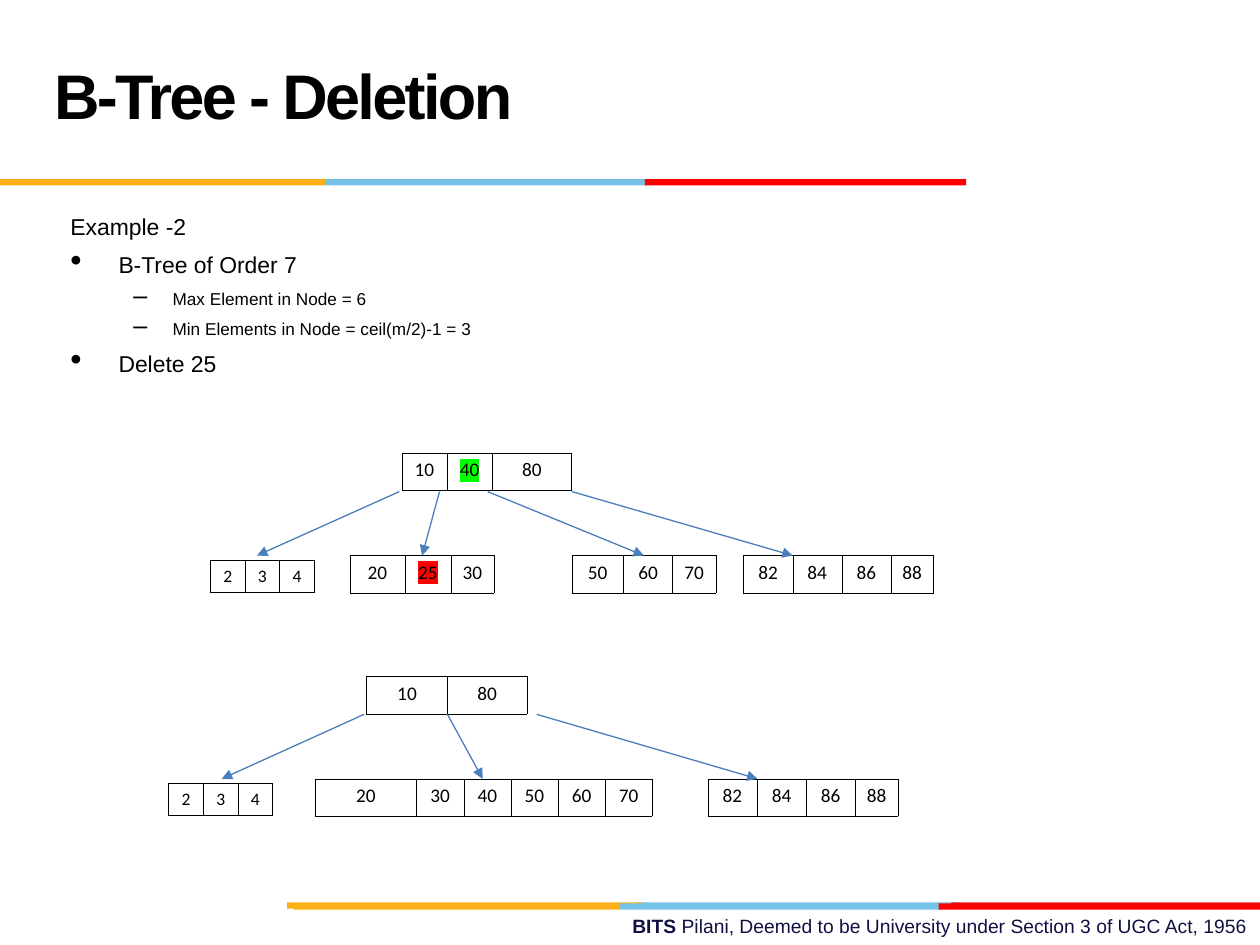
from lxml.etree import SubElement
from pptx import Presentation
from pptx.dml.color import RGBColor
from pptx.enum.shapes import MSO_CONNECTOR as CONN, MSO_SHAPE as SHAPE
from pptx.enum.text import MSO_ANCHOR as ANCHOR, PP_ALIGN as ALIGN
from pptx.oxml.ns import qn
from pptx.util import Cm, Pt

BLACK = RGBColor(0x00, 0x00, 0x00)
WHITE = RGBColor(0xFF, 0xFF, 0xFF)
NAVY = RGBColor(0x10, 0x11, 0x41)
ORANGE = RGBColor(0xFC, 0xB0, 0x17)
SKY = RGBColor(0x76, 0xC2, 0xE5)
CRIMSON = RGBColor(0xE3, 0x1C, 0x24)
RED = RGBColor(0xFF, 0x00, 0x00)
GREEN = RGBColor(0x00, 0xFF, 0x00)
ARROW = RGBColor(0x4B, 0x7E, 0xBC)


class SlideBuilder:
    """Draws styled elements on one slide, with lengths in centimetres."""

    font = "Arial"
    node_font = "Calibri"

    def __init__(self, slide):
        self.slide = slide

    def style(self, r, size, color=BLACK, bold=False, name=None):
        r.font.size = Pt(size)
        r.font.bold = bold
        r.font.color.rgb = color
        r.font.name = name or self.font

    def stripe(self, x, y, w, color):
        sp = self.slide.shapes.add_shape(SHAPE.RECTANGLE, Cm(x), Cm(y), Cm(w), Cm(0.13))
        sp.shadow.inherit = False
        sp.fill.solid()
        sp.fill.fore_color.rgb = color
        sp.line.fill.background()

    def text_box(self, x, y, w, h):
        tf = self.slide.shapes.add_textbox(Cm(x), Cm(y), Cm(w), Cm(h)).text_frame
        tf.word_wrap = True
        return tf

    def title(self, text, x, y, w, h):
        tf = self.text_box(x, y, w, h)
        tf.vertical_anchor = ANCHOR.MIDDLE
        tf.text = text
        p = tf.paragraphs[0]
        p.line_spacing = Pt(36)
        self.style(p.runs[0], 36, bold=True)
        p.runs[0].font._element.set("spc", "-150")

    def footer(self, lead, rest, x, y, w, h):
        p = self.text_box(x, y, w, h).paragraphs[0]
        p.alignment = ALIGN.RIGHT
        for text, bold in ((lead, True), (rest, False)):
            r = p.add_run()
            r.text = text
            self.style(r, 11, NAVY, bold)

    def bullets(self, items, x, y, w, h):
        tf = self.text_box(x, y, w, h)
        tf.margin_left = tf.margin_right = Cm(0.23)
        tf.margin_top = tf.margin_bottom = Cm(0.1)
        for i, (text, mark, size, left, hang) in enumerate(items):
            p = tf.add_paragraph() if i else tf.paragraphs[0]
            p.text = text
            p.line_spacing = 1.1
            if i:
                p.space_before = Pt(4.4)
            if mark:
                pPr = p._p.get_or_add_pPr()
                pPr.set("marL", str(Cm(left)))
                pPr.set("indent", str(-Cm(hang)))
                SubElement(pPr, qn("a:buSzPct"), val="147000")
                SubElement(pPr, qn("a:buChar"), char=mark)
            self.style(p.runs[0], size)

    def border(self, cell, width):
        tcPr = cell._tc.get_or_add_tcPr()
        for side in ("a:lnL", "a:lnR", "a:lnT", "a:lnB"):
            ln = SubElement(tcPr, qn(side), w=str(Pt(width)))
            fill = SubElement(ln, qn("a:solidFill"))
            SubElement(fill, qn("a:srgbClr"), val=str(BLACK))

    def highlight(self, r, color):
        hl = SubElement(r.font._element, qn("a:highlight"))
        SubElement(hl, qn("a:srgbClr"), val=str(color))
        r.font._element.find(qn("a:solidFill")).addnext(hl)

    def node(self, x, y, keys, widths, marks=None, small=False):
        h = 0.64 if small else 0.75
        frame = self.slide.shapes.add_table(1, len(keys), Cm(x), Cm(y), Cm(sum(widths)), Cm(h))
        table = frame.table
        table.first_row = table.horz_banding = False
        table.rows[0].height = Cm(h)
        for i, (key, w) in enumerate(zip(keys, widths)):
            table.columns[i].width = Cm(w)
            cell = table.cell(0, i)
            cell.margin_left = cell.margin_right = Cm(0 if small else 0.23)
            cell.margin_top = cell.margin_bottom = Cm(0 if small else 0.1)
            self.border(cell, 0.5 if small else 0.25)
            if small:
                cell.vertical_anchor = ANCHOR.MIDDLE
                cell.fill.background()
            else:
                cell.fill.solid()
                cell.fill.fore_color.rgb = WHITE
            cell.text_frame.text = str(key)
            p = cell.text_frame.paragraphs[0]
            p.alignment = ALIGN.CENTER
            self.style(p.runs[0], 10 if small else 11, name=self.node_font)
            if marks and key in marks:
                self.highlight(p.runs[0], marks[key])

    def arrow(self, x1, y1, x2, y2):
        line = self.slide.shapes.add_connector(CONN.STRAIGHT, Cm(x1), Cm(y1), Cm(x2), Cm(y2))
        line.line.color.rgb = ARROW
        line.line.width = Pt(0.75)
        SubElement(line.line._get_or_add_ln(), qn("a:tailEnd"), type="triangle")
        SubElement(line._element.spPr, qn("a:effectLst"))


def main():
    prs = Presentation()
    prs.slide_width, prs.slide_height = Cm(25.4), Cm(19.05)
    s = SlideBuilder(prs.slides.add_slide(prs.slide_layouts[6]))

    s.footer("BITS ", "Pilani, Deemed to be University under Section 3 of UGC Act, 1956",
             9.09, 18.31, 16.31, 0.74)
    for x, y, w, color in (
        (12.85, 18.19, 6.48, SKY), (19.18, 18.19, 6.22, CRIMSON), (5.79, 18.19, 7.16, ORANGE),
        (12.5, 18.21, 6.48, SKY), (5.92, 18.21, 6.58, ORANGE), (18.92, 18.21, 6.48, RED),
        (6.55, 3.61, 6.48, SKY), (0, 3.61, 6.55, ORANGE), (13, 3.61, 6.48, RED),
    ):
        s.stripe(x, y, w, color)

    s.title("B-Tree - Deletion", 0.84, 0.43, 17.58, 3.18)
    s.bullets((
        ("Example -2", None, 13.1, 0, 0),
        ("B-Tree of Order 7", "•", 13.1, 0.97, 0.97),
        ("Max Element in Node = 6", "–", 9.8, 2.06, 0.79),
        ("Min Elements in Node = ceil(m/2)-1 = 3", "–", 9.8, 2.06, 0.79),
        ("Delete 25", "•", 13.1, 0.97, 0.97),
    ), 1.19, 4.14, 14.78, 3.73)

    small_widths = [0.7] * 3
    last_leaf = (82, 84, 86, 88), (0.99, 0.99, 0.99, 0.86)

    s.node(8.1, 9.14, (10, 40, 80), (0.91, 0.91, 1.6), {40: GREEN})
    s.node(4.24, 11.3, (2, 3, 4), small_widths, small=True)
    s.node(7.06, 11.2, (20, 25, 30), (1.1, 0.93, 0.87), {25: RED})
    s.node(11.53, 11.2, (50, 60, 70), (1.04, 0.99, 0.87))
    s.node(14.99, 11.2, *last_leaf)
    for start, end in ((8.05, 5.18), (8.86, 8.51), (9.83, 12.98), (11.53, 15.98)):
        s.arrow(start, 9.91, end, 11.2)

    s.node(7.39, 13.64, (10, 80), (1.63, 1.6))
    s.node(3.4, 15.8, (2, 3, 4), small_widths, small=True)
    s.node(6.35, 15.7, (20, 30, 40, 50, 60, 70), [2.05] + [0.95] * 5)
    s.node(14.27, 15.7, *last_leaf)
    for start, end in ((7.34, 4.47), (9.02, 9.73), (10.82, 15.27)):
        s.arrow(start, 14.4, end, 15.7)

    prs.save("out.pptx")


if __name__ == "__main__":
    main()
